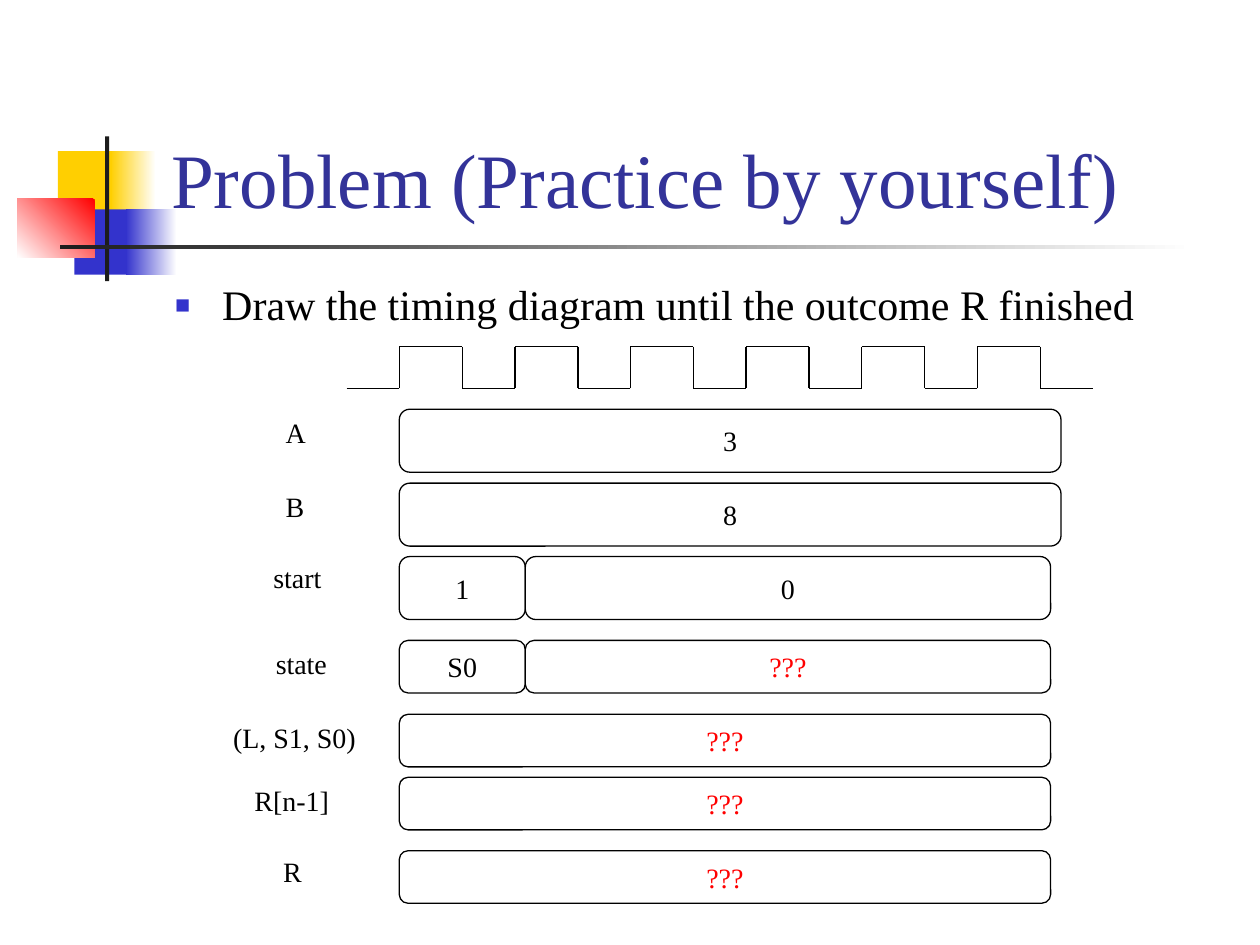
from itertools import pairwise

from lxml import etree
from pptx import Presentation
from pptx.dml.color import RGBColor
from pptx.enum.shapes import MSO_CONNECTOR, MSO_SHAPE
from pptx.enum.text import MSO_ANCHOR, MSO_AUTO_SIZE, PP_ALIGN
from pptx.oxml.ns import qn
from pptx.util import Cm, Pt

RECT = MSO_SHAPE.RECTANGLE
ROUND = MSO_SHAPE.ROUNDED_RECTANGLE
LINE = MSO_CONNECTOR.STRAIGHT
TOP, MIDDLE, BOTTOM = MSO_ANCHOR.TOP, MSO_ANCHOR.MIDDLE, MSO_ANCHOR.BOTTOM
GROW, FIXED = MSO_AUTO_SIZE.SHAPE_TO_FIT_TEXT, MSO_AUTO_SIZE.NONE
CENTER = PP_ALIGN.CENTER

BLACK, WHITE, RED = "000000", "FFFFFF", "FF0000"
GOLD, BLUE, NAVY, DARK = "FFCF01", "3333CC", "333399", "1C1C1C"


def color(code):
    return RGBColor.from_string(code)


class Painter:
    font = "Times New Roman"
    small = 16
    thin = Pt(0.75)

    def __init__(self, slide):
        self.shapes = slide.shapes

    def shape(self, kind, x, y, w, h):
        item = self.shapes.add_shape(kind, Cm(x), Cm(y), Cm(w), Cm(h))
        item.shadow.inherit = False
        return item

    def block(self, x, y, w, h, fill):
        item = self.shape(RECT, x, y, w, h)
        item.fill.solid()
        item.fill.fore_color.rgb = color(fill)
        item.line.fill.background()

    def fade(self, x, y, w, h, first, last, angle=180):
        item = self.shape(RECT, x, y, w, h)
        item.fill.gradient()
        item.fill.gradient_angle = angle
        for stop, code, place in zip(item.fill.gradient_stops, (first, last), (0, 1)):
            stop.color.rgb = color(code)
            stop.position = place
        item.line.fill.background()

    def style(self, para, size, code):
        para.font.name = self.font
        para.font.size = Pt(size)
        para.font.color.rgb = color(code)

    def text(self, x, y, w, h, words, size=small, code=BLACK, wrap=False, anchor=TOP):
        frame = self.shapes.add_textbox(Cm(x), Cm(y), Cm(w), Cm(h)).text_frame
        frame.word_wrap = wrap
        frame.auto_size = FIXED if wrap else GROW
        frame.vertical_anchor = anchor
        para = frame.paragraphs[0]
        para.text = words
        self.style(para, size, code)
        return para

    def bullet(self, x, y, w, h, words, size):
        para = self.text(x, y, w, h, words, size, wrap=True)
        props = para._p.get_or_add_pPr()
        props.set("marL", str(Cm(0.95)))
        props.set("indent", str(Cm(-0.95)))
        mark = etree.Element(qn("a:buClr"))
        etree.SubElement(mark, qn("a:srgbClr"), val=BLUE)
        scale = etree.Element(qn("a:buSzPct"), val="60000")
        face = etree.Element(qn("a:buFont"), typeface=self.font)
        sign = etree.Element(qn("a:buChar"), char="■")
        for spot, node in enumerate((mark, scale, face, sign)):
            props.insert(spot, node)
        para.line_spacing = 0.9

    def value(self, x, y, w, h, words):
        item = self.shape(ROUND, x, y, w, h)
        item.adjustments[0] = 0.167
        item.fill.background()
        item.line.color.rgb = color(BLACK)
        item.line.width = self.thin
        frame = item.text_frame
        frame.word_wrap = False
        frame.vertical_anchor = MIDDLE
        para = frame.paragraphs[0]
        para.text = words
        para.alignment = CENTER
        self.style(para, self.small, RED if words == "???" else BLACK)

    def wave(self, points):
        for start, end in pairwise(points):
            edge = self.shapes.add_connector(LINE, *map(Cm, start + end))
            edge.line.color.rgb = color(BLACK)
            edge.line.width = self.thin
            etree.SubElement(edge._element.spPr, qn("a:effectLst"))


def clock(left, low, high, count, up, down):
    points = [(left - down, low)]
    for beat in range(count):
        rise = left + beat * (up + down)
        fall = rise + up
        points += [(rise, low), (rise, high), (fall, high), (fall, low)]
    return points + [(fall + down, low)]


def main():
    deck = Presentation()
    deck.slide_width, deck.slide_height = Cm(25.4), Cm(19.05)
    pen = Painter(deck.slides.add_slide(deck.slide_layouts[6]))

    pen.block(1.17, 3.05, 1.22, 1.32, GOLD)
    pen.fade(2.23, 3.05, 0.91, 1.32, WHITE, GOLD)
    pen.block(1.5, 4.22, 1.17, 1.32, BLUE)
    pen.fade(2.54, 4.22, 1.02, 1.32, WHITE, BLUE)
    pen.fade(0.35, 4.01, 1.56, 1.18, RED, WHITE, 225)
    pen.block(2.12, 2.75, 0.08, 2.92, DARK)
    pen.fade(1.22, 4.94, 22.86, 0.09, WHITE, DARK)

    pen.text(3.2, 0.58, 21.64, 4.06, "Problem (Practice by yourself)", 44, NAVY, True, BOTTOM)
    pen.bullet(3.28, 5.61, 21.59, 1.37, "Draw the timing diagram until the outcome R finished", 24)

    left = 8.05
    pen.wave(clock(left, 7.83, 6.99, 6, 1.27, 1.06))

    tall, short = 1.27, 1.06
    full, wide, first, rest = 13.34, 13.13, 2.54, 10.59
    rows = [
        ("A", 5.51, 8.25, 0.95, 8.25, tall, [("3", full)]),
        ("B", 5.51, 9.74, 0.95, 9.74, tall, [("8", full)]),
        ("start", 5.26, 11.18, 1.55, 11.22, tall, [("1", first), ("0", rest)]),
        ("state", 5.31, 12.91, 1.6, 12.91, short, [("S0", first), ("???", rest)]),
        ("(L, S1, S0)", 4.45, 14.4, 3.05, 14.4, short, [("???", wide)]),
        ("R[n-1]", 4.88, 15.67, 2.1, 15.67, short, [("???", wide)]),
        ("R", 5.46, 17.1, 0.95, 17.15, short, [("???", wide)]),
    ]
    for name, x, y, width, top, height, values in rows:
        pen.text(x, y, width, 0.94, name)
        start = left
        for words, span in values:
            pen.value(start, top, span, height, words)
            start += span

    deck.save("out.pptx")


if __name__ == "__main__":
    main()
